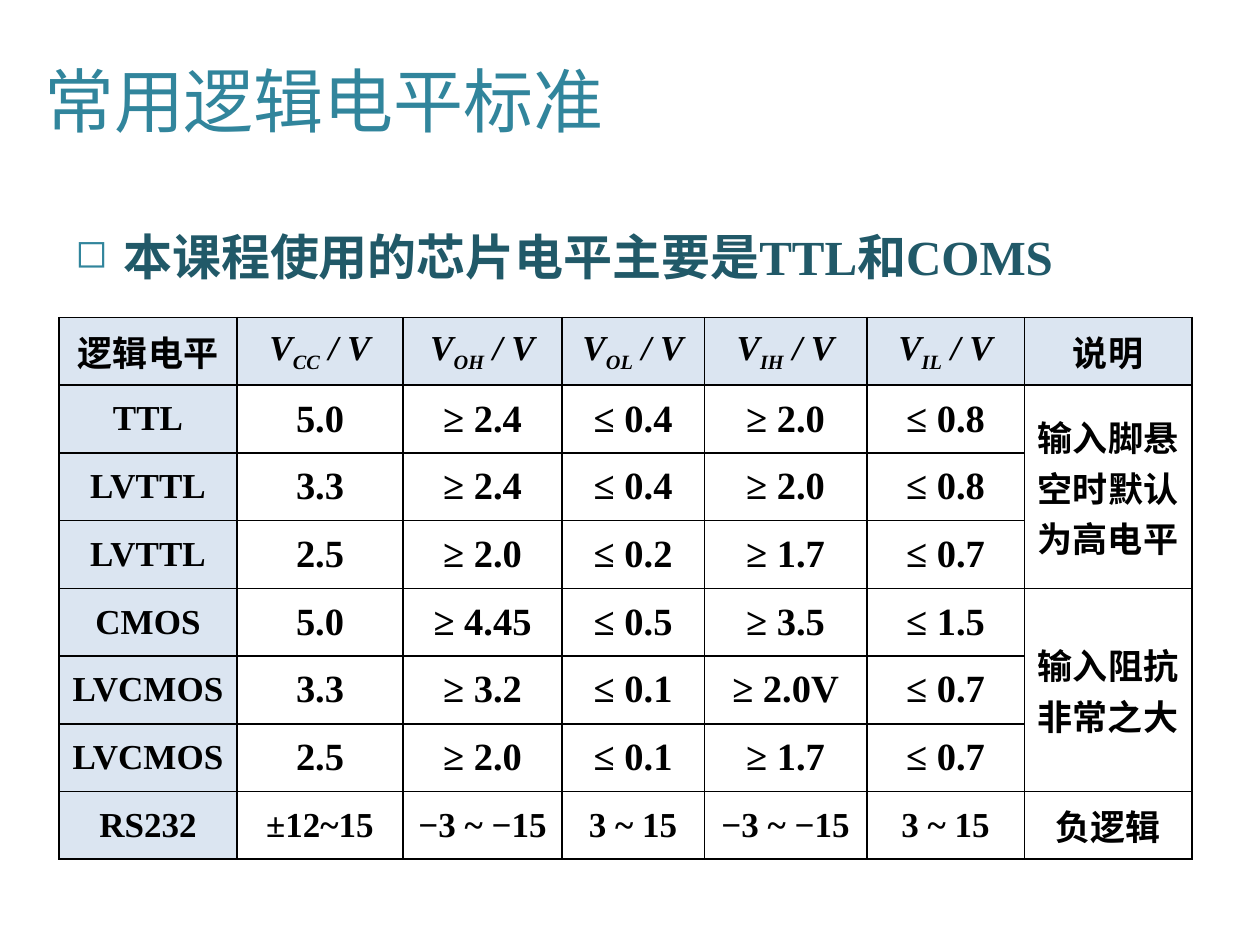
from dataclasses import dataclass

from lxml.etree import SubElement
from pptx import Presentation
from pptx.dml.color import RGBColor
from pptx.enum.text import MSO_ANCHOR, MSO_AUTO_SIZE, PP_ALIGN
from pptx.oxml.ns import qn
from pptx.util import Inches, Pt

LATIN, CHINESE = "Times New Roman", "Noto Sans CJK SC"
TEAL, DARK_TEAL, BLACK, BLUE = "31859C", "215968", "000000", "4F81BD"


@dataclass
class LogicLevel:
    name: str
    values: list[str]
    size: int = 22


@dataclass
class Remark:
    text: str
    first_row: int
    last_row: int
    font: str = LATIN


VOLTAGES = ["CC", "OH", "OL", "IH", "IL"]
LEVELS = [
    LogicLevel("TTL", ["5.0", "≥ 2.4", "≤ 0.4", "≥ 2.0", "≤ 0.8"]),
    LogicLevel("LVTTL", ["3.3", "≥ 2.4", "≤ 0.4", "≥ 2.0", "≤ 0.8"]),
    LogicLevel("LVTTL", ["2.5", "≥ 2.0", "≤ 0.2", "≥ 1.7", "≤ 0.7"]),
    LogicLevel("CMOS", ["5.0", "≥ 4.45", "≤ 0.5", "≥ 3.5", "≤ 1.5"]),
    LogicLevel("LVCMOS", ["3.3", "≥ 3.2", "≤ 0.1", "≥ 2.0V", "≤ 0.7"]),
    LogicLevel("LVCMOS", ["2.5", "≥ 2.0", "≤ 0.1", "≥ 1.7", "≤ 0.7"]),
    LogicLevel("RS232", ["±12~15", "−3 ~ −15", "3 ~ 15", "−3 ~ −15", "3 ~ 15"], 20),
]
REMARKS = [
    Remark("说明", 0, 0),
    Remark("输入脚悬空时默认为高电平", 1, 3),
    Remark("输入阻抗非常之大", 4, 6, "Calibri"),
    Remark("负逻辑", 7, 7, "Calibri"),
]
COLUMN_WIDTHS = [1.41, 1.32, 1.26, 1.13, 1.29, 1.25, 1.33]
TABLE_HEIGHT = 4.3


def color(value: str) -> RGBColor:
    return RGBColor.from_string(value)


def add_text(para, text: str, *, size=20, font=LATIN, fill=BLACK,
             bold=True, italic=False, baseline=0) -> None:
    span = para.add_run()
    span.text = text
    span.font.size, span.font.name = Pt(size), font
    span.font.bold, span.font.italic = bold, italic
    span.font.color.rgb = color(fill)
    properties = span._r.get_or_add_rPr()
    SubElement(properties, qn("a:ea"), typeface=CHINESE)
    if baseline:
        properties.set("baseline", str(baseline * 1000))


def add_bullet(para, symbol: str, fill: str, percent: int, indent: float) -> None:
    properties = para._p.get_or_add_pPr()
    properties.set("marL", str(Inches(indent)))
    properties.set("indent", str(-Inches(indent)))
    bullet_color = SubElement(properties, qn("a:buClr"))
    SubElement(bullet_color, qn("a:srgbClr"), val=fill)
    SubElement(properties, qn("a:buSzPct"), val=str(percent * 1000))
    SubElement(properties, qn("a:buChar"), char=symbol)


def format_cell(cell, shaded: bool) -> None:
    cell.vertical_anchor = MSO_ANCHOR.MIDDLE
    cell.text_frame.paragraphs[0].alignment = PP_ALIGN.CENTER
    properties = cell._tc.get_or_add_tcPr()
    for side in ("lnL", "lnR", "lnT", "lnB"):
        line = SubElement(properties, qn(f"a:{side}"), w=str(Pt(1)))
        line_fill = SubElement(line, qn("a:solidFill"))
        SubElement(line_fill, qn("a:srgbClr"), val=BLACK)
    if shaded:
        cell.fill.solid()
        cell.fill.fore_color.rgb = color(BLUE)
        shade = properties.find(qn("a:solidFill")).find(qn("a:srgbClr"))
        SubElement(shade, qn("a:alpha"), val="20000")
    else:
        cell.fill.background()


def add_title(page, text: str) -> None:
    title = page.shapes.title
    title.left, title.top = Inches(0.25), Inches(0.27)
    title.width, title.height = Inches(7.66), Inches(1.04)
    frame = title.text_frame
    frame.vertical_anchor = MSO_ANCHOR.MIDDLE
    frame.auto_size = MSO_AUTO_SIZE.NONE
    para = frame.paragraphs[0]
    para.alignment = PP_ALIGN.LEFT
    add_text(para, text, size=40, font=CHINESE, fill=TEAL, bold=False)


def add_statement(page, text: str) -> None:
    box = page.shapes.add_textbox(Inches(0.5), Inches(1.75), Inches(9), Inches(0.7))
    box.text_frame.word_wrap = True
    para = box.text_frame.paragraphs[0]
    add_bullet(para, "◻", TEAL, 80, 0.38)
    add_text(para, text, size=28, fill=DARK_TEAL)


def add_level_table(page) -> None:
    row_count, column_count = len(LEVELS) + 1, len(COLUMN_WIDTHS)
    table = page.shapes.add_table(
        row_count, column_count, Inches(0.47), Inches(2.52),
        Inches(sum(COLUMN_WIDTHS)), Inches(TABLE_HEIGHT)).table
    table.first_row = table.horz_banding = False
    for column, width in zip(table.columns, COLUMN_WIDTHS):
        column.width = Inches(width)
    for row_index, row in enumerate(table.rows):
        row.height = Inches(TABLE_HEIGHT / row_count)
        for column_index, cell in enumerate(row.cells):
            format_cell(cell, shaded=row_index == 0 or column_index == 0)

    def cell_para(row: int, column: int):
        return table.cell(row, column).text_frame.paragraphs[0]

    # Header row
    add_text(cell_para(0, 0), "逻辑电平")
    for column, subscript in enumerate(VOLTAGES, 1):
        para = cell_para(0, column)
        add_text(para, "V", italic=True)
        add_text(para, subscript, italic=True, baseline=-25)
        add_text(para, " / V", italic=True)

    # Level names and voltages
    for row, level in enumerate(LEVELS, 1):
        add_text(cell_para(row, 0), level.name)
        for column, value in enumerate(level.values, 1):
            add_text(cell_para(row, column), value, size=level.size)

    # Remarks in the last column
    last = column_count - 1
    for remark in REMARKS:
        if remark.last_row > remark.first_row:
            table.cell(remark.first_row, last).merge(table.cell(remark.last_row, last))
        add_text(cell_para(remark.first_row, last), remark.text, font=remark.font)


def main() -> None:
    deck = Presentation()
    deck.slide_width, deck.slide_height = Inches(10), Inches(7.5)
    page = deck.slides.add_slide(deck.slide_layouts[5])
    add_title(page, "常用逻辑电平标准")
    add_statement(page, "本课程使用的芯片电平主要是TTL和COMS")
    add_level_table(page)
    deck.save("out.pptx")


if __name__ == "__main__":
    main()
